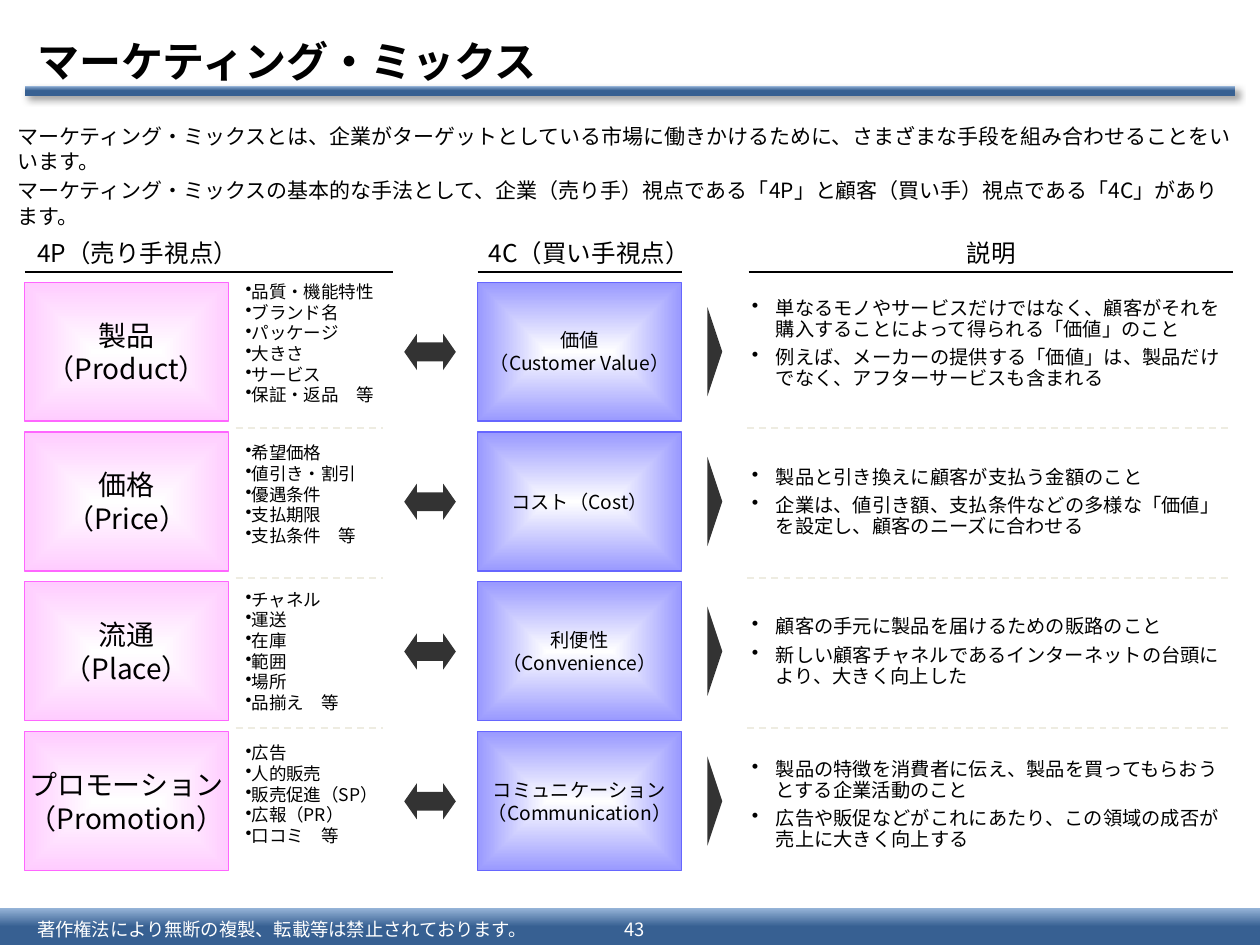
import pptx
import pptx.util
import pptx.dml.color
import pptx.enum.dml
import pptx.enum.shapes
import pptx.enum.text
from lxml import etree
from pptx.oxml.ns import qn

Cm = pptx.util.Cm
Pt = pptx.util.Pt
RGB = pptx.dml.color.RGBColor
Kind = pptx.enum.shapes.MSO_SHAPE
Align = pptx.enum.text.PP_ALIGN
Anchor = pptx.enum.text.MSO_ANCHOR

FONT = "Noto Sans CJK JP"
BLACK = RGB(0, 0, 0)
WHITE = RGB(255, 255, 255)
DARK = RGB(0x33, 0x33, 0x33)
NAVY = RGB(0x37, 0x60, 0x92)
SKY = RGB(0x95, 0xB3, 0xD7)
PINK = RGB(0xFF, 0xCC, 0xFF)
ROSE = RGB(0xFF, 0x66, 0xFF)
LILAC = RGB(0x99, 0x99, 0xFF)
BLUE = RGB(0x66, 0x66, 0xFF)
SAND = RGB(0xEE, 0xEC, 0xE1)


def write(shape, text, size, color=BLACK, align=Align.LEFT, anchor=Anchor.TOP,
          wrap=True, lead=1.2, before=0, after=0, hang=None):
    """Fill a shape with text; hang (in cm) turns paragraphs into bullets."""
    frame = shape.text_frame
    frame.text = text
    frame.word_wrap = wrap
    frame.auto_size = pptx.enum.text.MSO_AUTO_SIZE.NONE
    frame.vertical_anchor = anchor
    for para in frame.paragraphs:
        para.alignment = align
        para.line_spacing = Pt(size * lead)
        para.space_before = Pt(before)
        para.space_after = Pt(after)
        if hang is not None:
            props = para._p.get_or_add_pPr()
            props.set("marL", str(Cm(hang)))
            props.set("indent", str(-Cm(hang)))
            etree.SubElement(props, qn("a:buChar"), char="•")
        for run in para.runs:
            run.font.size = Pt(size)
            run.font.name = FONT
            run.font.color.rgb = color
            etree.SubElement(run._r.get_or_add_rPr(), qn("a:ea"), typeface=FONT)
    if hang is not None:
        frame.margin_left = frame.margin_right = Cm(0.1)
        frame.margin_top = frame.margin_bottom = Cm(0.1)


def rule(left, right, y, color, dash=False):
    line = shapes.add_connector(pptx.enum.shapes.MSO_CONNECTOR.STRAIGHT,
                                Cm(left), Cm(y), Cm(right), Cm(y))
    line.line.color.rgb = color
    line.line.width = Pt(1)
    if dash:
        line.line.dash_style = pptx.enum.dml.MSO_LINE.DASH
    etree.SubElement(line._element.spPr, qn("a:effectLst"))


deck = pptx.Presentation()
deck.slide_width = Cm(25.4)
deck.slide_height = Cm(19.05)
slide = deck.slides.add_slide(deck.slide_layouts[5])
shapes = slide.shapes

# Bands under the title and at the foot
for left, top, width, height in [(0, 18.31, 25.4, 0.74), (0.5, 1.73, 24.4, 0.2)]:
    band = shapes.add_shape(Kind.RECTANGLE, Cm(left), Cm(top), Cm(width), Cm(height))
    band.shadow.inherit = False
    band.line.fill.background()
    band.fill.gradient()
    band.fill.gradient_angle = 90
    first, last = band.fill.gradient_stops
    first.color.rgb, first.position = NAVY, 0.5
    last.color.rgb, last.position = SKY, 1

# Soft shadow of the title band
glow = band._element.spPr.find(qn("a:effectLst"))
cast = etree.SubElement(glow, qn("a:outerShdw"), blurRad=str(Pt(4)),
                        dist=str(Pt(3)), dir="2700000", algn="tl", rotWithShape="0")
tone = etree.SubElement(cast, qn("a:srgbClr"), val="000000")
etree.SubElement(tone, qn("a:alpha"), val="40000")

# Footer text
for left, width, text, align in [
        (0.5, 10.8, "著作権法により無断の複製、転載等は禁止されております。", Align.LEFT),
        (12.09, 1.4, "43", Align.CENTER)]:
    note = shapes.add_textbox(Cm(left), Cm(18.41), Cm(width), Cm(0.66))
    write(note, text, 10.5, WHITE, align, Anchor.MIDDLE)

# Title
title = shapes.title
title.left, title.top, title.width, title.height = Cm(0.5), Cm(0.53), Cm(24.9), Cm(1.37)
write(title, "マーケティング・ミックス", 24, anchor=Anchor.MIDDLE)
title.text_frame.paragraphs[0].runs[0].font.bold = True

# Introduction
intro = shapes.add_textbox(Cm(0.1), Cm(2.36), Cm(25.12), Cm(2.36))
write(intro, "マーケティング・ミックスとは、企業がターゲットとしている市場に働きかけるために、"
      "さまざまな手段を組み合わせることをいいます。\n"
      "マーケティング・ミックスの基本的な手法として、企業（売り手）視点である「4P」と"
      "顧客（買い手）視点である「4C」があります。", 12, before=2.4)

# Column heads: left, width, text, alignment, ends of the rule
heads = [(0.5, 7.42, "4P（売り手視点）", Align.LEFT, 0.5, 7.92),
         (9.6, 4.95, "4C（買い手視点）", Align.LEFT, 9.63, 13.75),
         (15.14, 9.68, "説明", Align.CENTER, 15.09, 24.86)]
for left, width, text, align, start, end in heads:
    head = shapes.add_textbox(Cm(left), Cm(4.67), Cm(width), Cm(0.85))
    write(head, text, 14, align=align)
    rule(start, end, 5.48, BLACK)

# Rows: 4P, list top, list, 4C, notes top, notes
rows = [
    ("製品\v（Product）", 5.61,
     "品質・機能特性\nブランド名\nパッケージ\n大きさ\nサービス\n保証・返品　等",
     "価値\v（Customer Value）", 5.92,
     "単なるモノやサービスだけではなく、顧客がそれを購入することによって得られる「価値」のこと\n"
     "例えば、メーカーの提供する「価値」は、製品だけでなく、アフターサービスも含まれる"),
    ("価格\v（Price）", 8.86,
     "希望価格\n値引き・割引\n優遇条件\n支払期限\n支払条件　等",
     "コスト（Cost）", 9.32,
     "製品と引き換えに顧客が支払う金額のこと\n"
     "企業は、値引き額、支払条件などの多様な「価値」を設定し、顧客のニーズに合わせる"),
    ("流通\v（Place）", 11.81,
     "チャネル\n運送\n在庫\n範囲\n場所\n品揃え　等",
     "利便性\v（Convenience）", 12.34,
     "顧客の手元に製品を届けるための販路のこと\n"
     "新しい顧客チャネルであるインターネットの台頭により、大きく向上した"),
    ("プロモーション\n（Promotion）", 14.91,
     "広告\n人的販売\n販売促進（SP）\n広報（PR）\n口コミ　等",
     "コミュニケーション\v（Communication）", 15.21,
     "製品の特徴を消費者に伝え、製品を買ってもらおうとする企業活動のこと\n"
     "広告や販促などがこれにあたり、この領域の成否が売上に大きく向上する"),
]
STEP = 3.02
for i, (seller, high, items, buyer, low, notes) in enumerate(rows):
    top = 5.69 + i * STEP

    # Seller and buyer boxes
    for left, text, size, tint, edge in [(0.5, seller, 16, PINK, ROSE),
                                         (9.63, buyer, 11, LILAC, BLUE)]:
        box = shapes.add_shape(Kind.RECTANGLE, Cm(left), Cm(top), Cm(4.11), Cm(2.8))
        box.shadow.inherit = False
        box.line.color.rgb = edge
        box.line.width = Pt(0.75)
        box.fill.gradient()
        for stop, color in zip(box.fill.gradient_stops, (WHITE, tint)):
            stop.color.rgb = color
        grad = box._element.spPr.find(qn("a:gradFill"))
        grad.remove(grad.find(qn("a:lin")))
        shade = etree.Element(qn("a:path"), path="shape")
        etree.SubElement(shade, qn("a:fillToRect"),
                         **dict.fromkeys("ltrb", "50000"))
        grad.find(qn("a:gsLst")).addnext(shade)
        write(box, text, size, align=Align.CENTER, anchor=Anchor.MIDDLE, wrap=False)

    # Double arrow and pointer
    arrow = shapes.add_shape(Kind.LEFT_RIGHT_ARROW, Cm(8.15), Cm(top + 1.04),
                             Cm(1.04), Cm(0.73))
    arrow.adjustments[0], arrow.adjustments[1] = 0.52, 0.35
    tip = shapes.add_shape(Kind.ISOSCELES_TRIANGLE, Cm(13.51), Cm(top + 1.25),
                           Cm(1.8), Cm(0.3))
    tip.rotation = 90
    for mark in (arrow, tip):
        mark.shadow.inherit = False
        mark.fill.solid()
        mark.fill.fore_color.rgb = DARK
        mark.line.fill.background()

    # Lists
    tools = shapes.add_textbox(Cm(4.85), Cm(high), Cm(3.63), Cm(2.6))
    write(tools, items, 10, lead=1.08, before=1, hang=0)
    about = shapes.add_textbox(Cm(15.06), Cm(low), Cm(9.78), Cm(2.06))
    write(about, notes, 11, lead=1.08, before=3.3, after=1.1, hang=0.48)

    # Dashed rules between rows
    if i:
        for start, end in [(4.75, 7.72), (15.06, 24.84)]:
            rule(start, end, 8.63 + (i - 1) * STEP, SAND, dash=True)

deck.save("out.pptx")
